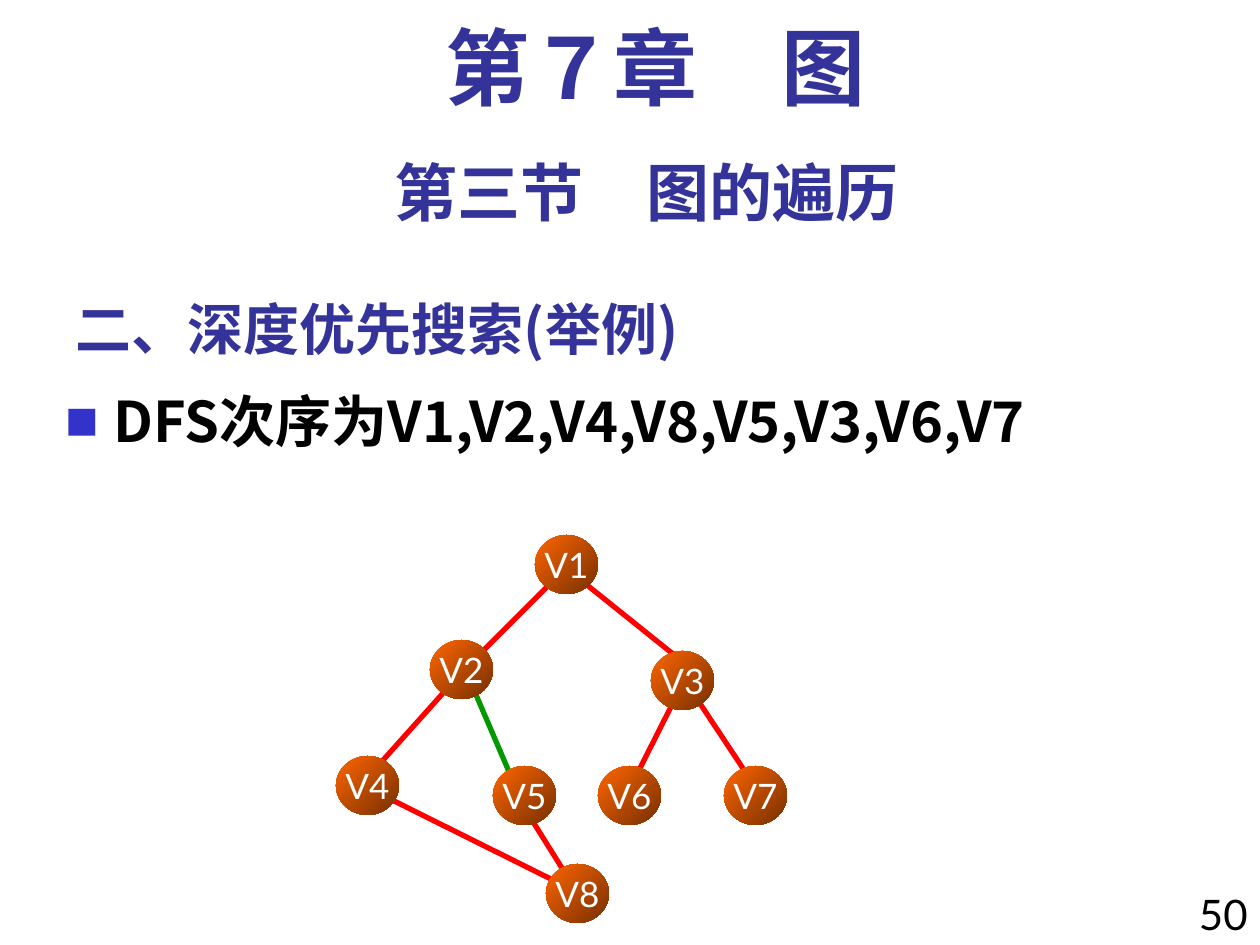
from dataclasses import dataclass

from lxml.etree import SubElement
from pptx import Presentation
from pptx.dml.color import RGBColor
from pptx.enum.shapes import MSO_CONNECTOR as Connector, MSO_SHAPE as Shape
from pptx.enum.text import MSO_ANCHOR as Anchor, PP_ALIGN as Align
from pptx.oxml.ns import qn
from pptx.slide import Slide
from pptx.text.text import _Paragraph as Paragraph
from pptx.util import Emu, Pt

EMU_PER_PX = 914400 / 126
SLIDE_WIDTH, SLIDE_HEIGHT = 1260, 945
NODE_WIDTH, NODE_HEIGHT = 63, 59
BULLET_INDENT = 48

INDIGO = RGBColor(0x33, 0x33, 0x99)
BULLET_BLUE = RGBColor(0x33, 0x33, 0xCC)
BLACK = RGBColor(0x00, 0x00, 0x00)
WHITE = RGBColor(0xFF, 0xFF, 0xFF)
RED = RGBColor(0xFF, 0x00, 0x00)
GREEN = RGBColor(0x00, 0x99, 0x00)
ORANGE = RGBColor(0xFF, 0x66, 0x00)
BROWN = RGBColor(0x76, 0x2F, 0x00)

LATO = "Lato"
NOTO = "Noto Sans CJK SC"
TIMES = "Times New Roman"


@dataclass(frozen=True)
class Label:
    text: str
    left: int
    top: int
    width: int
    height: int
    size: int
    font: str
    color: RGBColor = INDIGO
    bold: bool = True
    align: Align = Align.LEFT
    anchor: Anchor = Anchor.TOP
    line_spacing: float = 1.0
    bullet: bool = False


@dataclass(frozen=True)
class Node:
    name: str
    left: int
    top: int


@dataclass(frozen=True)
class Edge:
    start: tuple[int, int]
    end: tuple[int, int]
    color: RGBColor = RED


LABELS = [
    Label("二、深度优先搜索(举例)", 63, 273, 1040, 95, 32, NOTO, anchor=Anchor.BOTTOM),
    Label("50", 1176, 882, 84, 74, 24, LATO, BLACK, bold=False, align=Align.RIGHT),
    Label("第三节　图的遍历", 63, 147, 1166, 88, 36, LATO, align=Align.CENTER),
    Label("DFS次序为V1,V2,V4,V8,V5,V3,V6,V7", 53, 388, 1207, 557, 32, NOTO, BLACK,
          line_spacing=0.9, bullet=True),
    Label("第７章　图", 84, 21, 1144, 105, 48, TIMES, align=Align.CENTER, line_spacing=0.9),
]

EDGES = [
    Edge((462, 672), (368, 777)),
    Edge((557, 577), (462, 672)),
    Edge((525, 809), (462, 662), GREEN),
    Edge((577, 892), (368, 788)),
    Edge((577, 892), (525, 809)),
    Edge((577, 577), (683, 662)),
    Edge((683, 683), (630, 788)),
    Edge((693, 693), (756, 788)),
]

NODES = [
    Node("V1", 535, 535),
    Node("V3", 651, 651),
    Node("V2", 430, 640),
    Node("V5", 493, 766),
    Node("V4", 336, 756),
    Node("V6", 598, 766),
    Node("V7", 724, 766),
    Node("V8", 546, 864),
]


def px(length: int) -> Emu:
    return Emu(round(length * EMU_PER_PX))


def add_run(paragraph: Paragraph, text: str, size: int, font: str,
            color: RGBColor, bold: bool) -> None:
    run = paragraph.add_run()
    run.text = text
    run.font.size = Pt(size)
    run.font.name = font
    run.font.bold = bold
    run.font.color.rgb = color
    SubElement(run.font._element, qn("a:ea"), typeface=NOTO)


def add_bullet(paragraph: Paragraph) -> None:
    properties = paragraph._p.get_or_add_pPr()
    properties.set("marL", str(px(BULLET_INDENT)))
    properties.set("indent", str(-px(BULLET_INDENT)))
    color = SubElement(properties, qn("a:buClr"))
    SubElement(color, qn("a:srgbClr"), val=str(BULLET_BLUE))
    SubElement(properties, qn("a:buSzPct"), val="60000")
    SubElement(properties, qn("a:buFont"), typeface=NOTO)
    SubElement(properties, qn("a:buChar"), char="■")


def draw_label(slide: Slide, label: Label) -> None:
    box = slide.shapes.add_textbox(
        px(label.left), px(label.top), px(label.width), px(label.height))
    frame = box.text_frame
    frame.word_wrap = True
    frame.vertical_anchor = label.anchor
    paragraph = frame.paragraphs[0]
    if label.bullet:
        add_bullet(paragraph)
    paragraph.alignment = label.align
    paragraph.line_spacing = label.line_spacing
    add_run(paragraph, label.text, label.size, label.font, label.color, label.bold)


def draw_edge(slide: Slide, edge: Edge) -> None:
    connector = slide.shapes.add_connector(
        Connector.STRAIGHT, *map(px, edge.start + edge.end))
    connector.line.color.rgb = edge.color
    connector.line.width = Pt(3)
    SubElement(connector._element.spPr, qn("a:effectLst"))


def draw_node(slide: Slide, node: Node) -> None:
    shape = slide.shapes.add_shape(
        Shape.OVAL, px(node.left), px(node.top), px(NODE_WIDTH), px(NODE_HEIGHT))
    shape.shadow.inherit = False
    shape.line.fill.background()
    shape.fill.gradient()
    shape.fill.gradient_angle = 315
    for stop, position, color in zip(shape.fill.gradient_stops, (0, 1), (ORANGE, BROWN)):
        stop.position = position
        stop.color.rgb = color
    frame = shape.text_frame
    frame.margin_left = frame.margin_right = 0
    frame.word_wrap = False
    frame.vertical_anchor = Anchor.MIDDLE
    paragraph = frame.paragraphs[0]
    paragraph.alignment = Align.CENTER
    add_run(paragraph, node.name, 20, LATO, WHITE, False)


def main() -> None:
    presentation = Presentation()
    presentation.slide_width = px(SLIDE_WIDTH)
    presentation.slide_height = px(SLIDE_HEIGHT)
    slide = presentation.slides.add_slide(presentation.slide_layouts[6])
    for label in LABELS:
        draw_label(slide, label)
    for edge in EDGES:
        draw_edge(slide, edge)
    for node in NODES:
        draw_node(slide, node)
    presentation.save("out.pptx")


if __name__ == "__main__":
    main()
